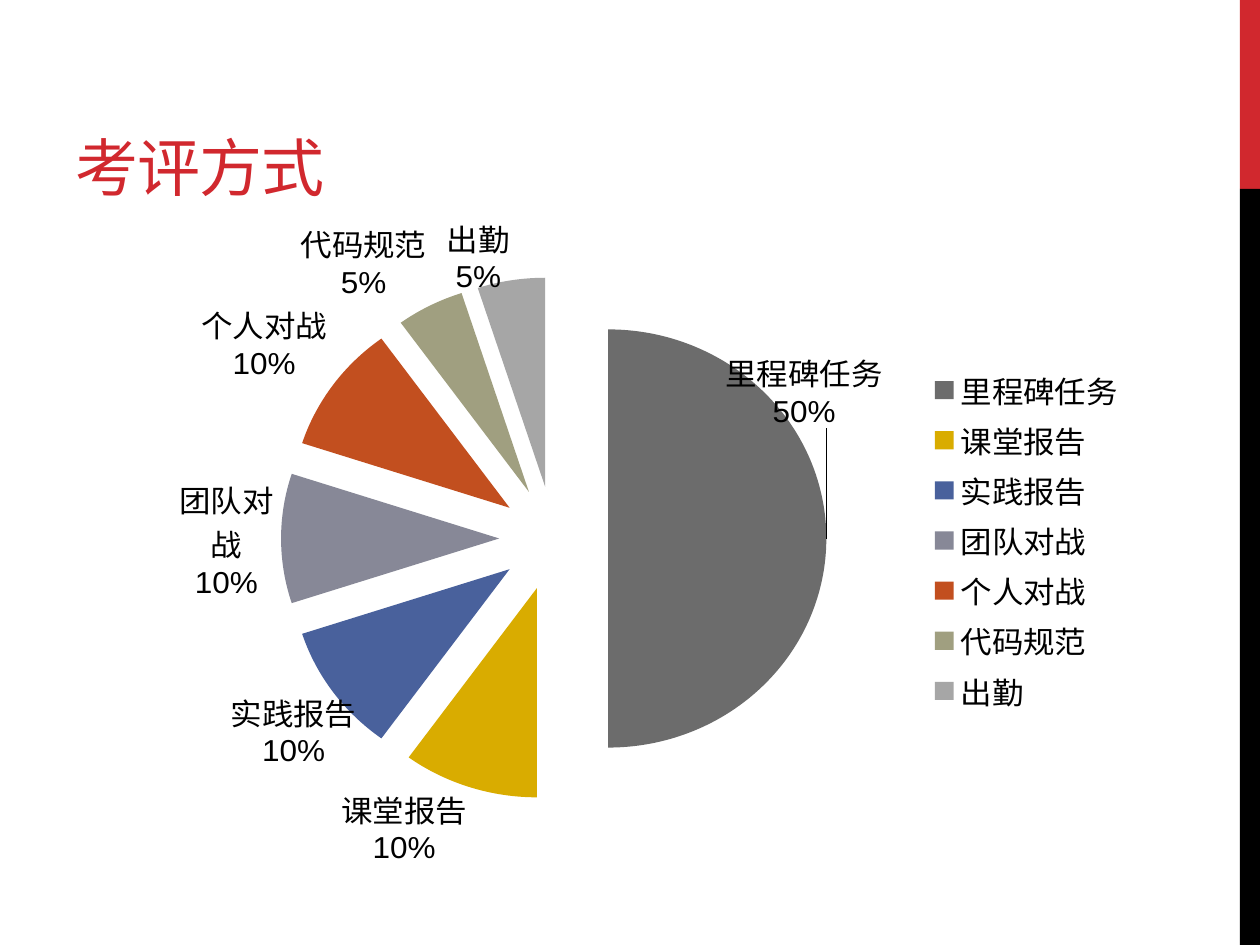
from lxml import etree
from pptx import Presentation
from pptx.chart.data import CategoryChartData
from pptx.dml.color import RGBColor
from pptx.enum.chart import XL_CHART_TYPE as ChartType
from pptx.enum.chart import XL_LABEL_POSITION as LabelPosition
from pptx.enum.chart import XL_LEGEND_POSITION as LegendPosition
from pptx.enum.shapes import MSO_SHAPE as Shape
from pptx.enum.text import MSO_ANCHOR as Anchor
from pptx.enum.text import MSO_AUTO_SIZE as AutoSize
from pptx.enum.text import PP_ALIGN as Align
from pptx.oxml.ns import qn
from pptx.util import Inches, Pt

RED, BLACK = "D1282E", "000000"
SLICES = [
    ("里程碑任务", 50, "6C6C6C"),
    ("课堂报告", 10, "D9AC00"),
    ("实践报告", 10, "49619C"),
    ("团队对战", 10, "878897"),
    ("个人对战", 10, "C24F1F"),
    ("代码规范", 5, "A09F80"),
    ("出勤", 5, "A6A6A6"),
]
LABEL_SHIFTS = {0: (-0.11, -0.23), 2: (0.03, -0.01)}


def paint(fill, color):
    fill.solid()
    fill.fore_color.rgb = RGBColor.from_string(color)


def style_font(font, size, color, name):
    font.size = Pt(size)
    font.name = name
    font.color.rgb = RGBColor.from_string(color)


def place(shape, box):
    shape.left, shape.top, shape.width, shape.height = map(Inches, box)


def chart_layout(**values):
    """Return a c:layout element holding a manual layout."""
    layout = etree.Element(qn("c:layout"))
    manual = etree.SubElement(layout, qn("c:manualLayout"))
    for tag, value in values.items():
        etree.SubElement(manual, qn(f"c:{tag}")).set("val", str(value))
    return layout


def add_side_bar(page, box):
    left, top, width, height = box
    red_height = height / 5
    parts = [(top, red_height, RED), (top + red_height, height - red_height, BLACK)]
    for part_top, part_height, color in parts:
        bar = page.shapes.add_shape(
            Shape.RECTANGLE, *map(Inches, (left, part_top, width, part_height)))
        bar.shadow.inherit = False
        paint(bar.fill, color)
        bar.line.fill.background()


def fill_title(page, box, text):
    title = page.shapes.title
    place(title, box)
    frame = title.text_frame
    frame.text = text
    frame.word_wrap = True
    frame.auto_size = AutoSize.NONE
    frame.vertical_anchor = Anchor.BOTTOM
    para = frame.paragraphs[0]
    para.alignment = Align.LEFT
    span = para.runs[0]
    style_font(span.font, 36, RED, "Montserrat")
    span.font._element.set("spc", "-60")


def shift_label(series, index, shift):
    """Move one slice label by fractions of the chart's size."""
    series.points[index].data_label.position = LabelPosition.OUTSIDE_END
    label = series._element.xpath(f"c:dLbls/c:dLbl[c:idx/@val='{index}']")[0]
    for tag, value in (("showVal", 0), ("showCatName", 1), ("showPercent", 1)):
        label.find(qn(f"c:{tag}")).set("val", str(value))
    for old in label.findall(qn("c:layout")):
        label.remove(old)
    label.find(qn("c:idx")).addnext(chart_layout(x=shift[0], y=shift[1]))


def add_grading_pie(page, box):
    data = CategoryChartData()
    data.categories = [name for name, _, _ in SLICES]
    data.add_series("Series 1", [share for _, share, _ in SLICES])
    chart = page.shapes.add_chart(ChartType.PIE, *map(Inches, box), data).chart
    chart.has_title = False
    style_font(chart.font, 18, BLACK, "Arial")

    chart.has_legend = True
    chart.legend.position = LegendPosition.RIGHT
    chart.legend.include_in_layout = False
    style_font(chart.legend.font, 18, BLACK, "Arial")

    plot = chart.plots[0]
    plot.vary_by_categories = True
    series = plot.series[0]
    for index, (_, _, color) in enumerate(SLICES):
        piece = series.points[index].format
        paint(piece.fill, color)
        piece.line.fill.background()
    explosion = etree.Element(qn("c:explosion"), val="25")
    series._element.find(qn("c:dPt")).addprevious(explosion)

    labels = series.data_labels
    labels.show_value = False
    labels.show_category_name = True
    labels.show_percentage = True
    labels.position = LabelPosition.OUTSIDE_END
    style_font(labels.font, 18, BLACK, "Arial")
    for index, shift in LABEL_SHIFTS.items():
        shift_label(series, index, shift)
        style_font(series.points[index].data_label.font, 18, BLACK, "Arial")

    plot_area = chart._chartSpace.xpath("c:chart/c:plotArea")[0]
    for old in plot_area.findall(qn("c:layout")):
        plot_area.remove(old)
    plot_area.insert(0, chart_layout(
        layoutTarget="inner", xMode="edge", yMode="edge",
        x=0.086, y=0.094, w=0.64, h=0.806))


def main():
    deck = Presentation()
    deck.slide_width, deck.slide_height = Inches(10), Inches(7.5)
    page = deck.slides.add_slide(deck.slide_layouts[5])
    add_side_bar(page, (9.84, 0, 0.16, 7.5))
    fill_title(page, (0.5, 0.17, 6.33, 1.5), "考评方式")
    add_grading_pie(page, (1.22, 1.55, 7.82, 5.37))
    deck.save("out.pptx")


if __name__ == "__main__":
    main()
